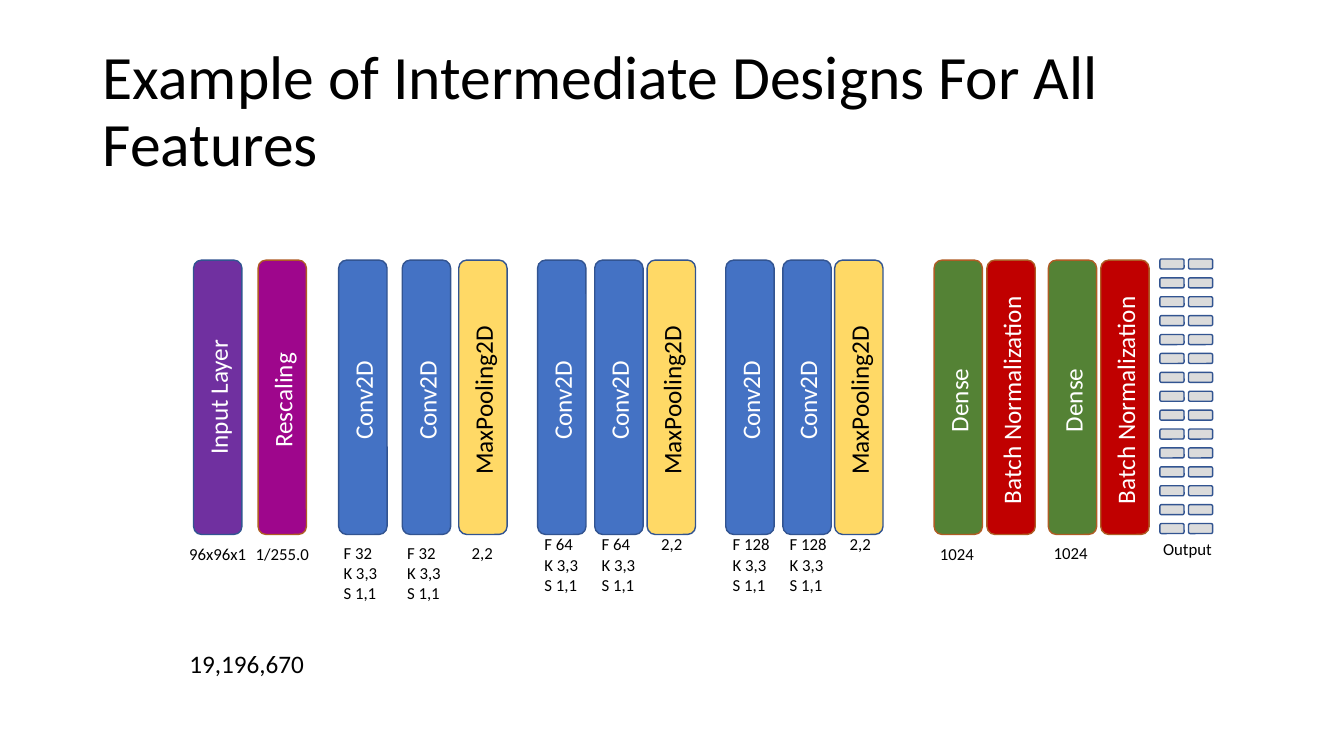
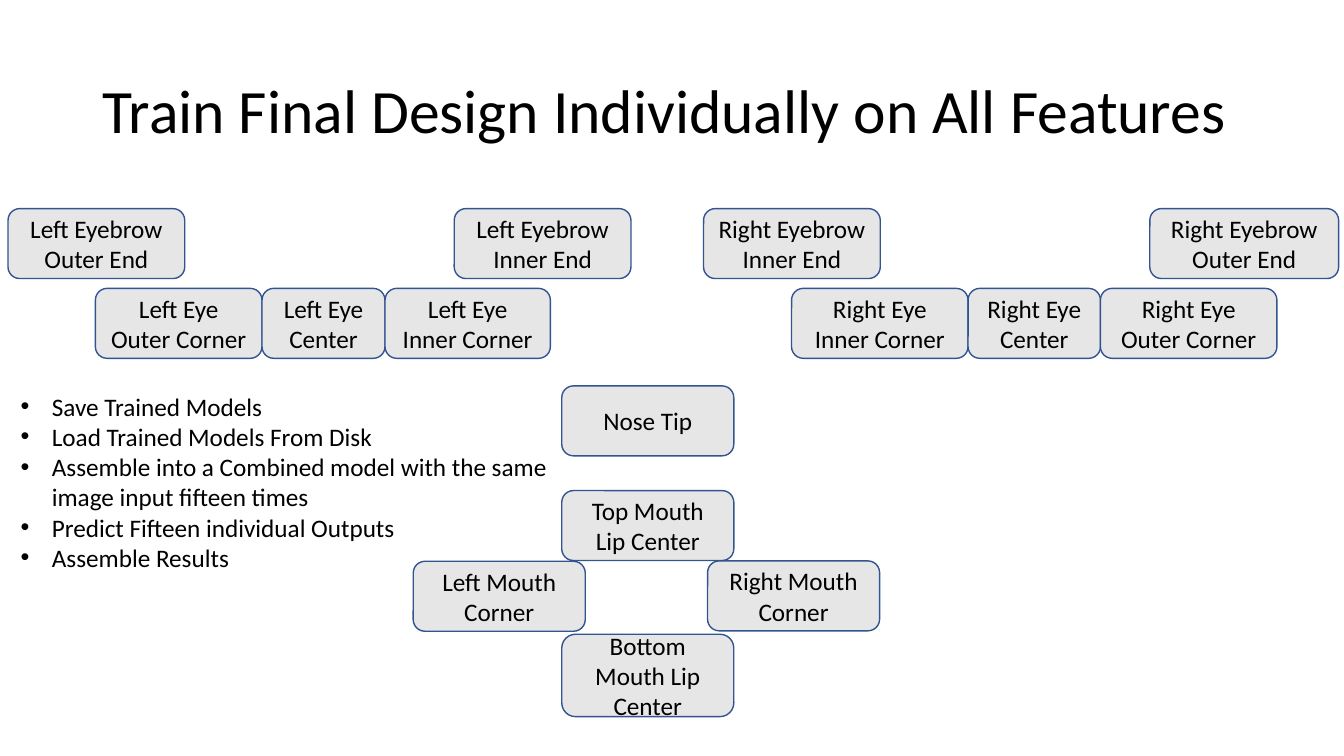
from lxml import etree
from pptx import Presentation
from pptx.dml.color import RGBColor
from pptx.enum.shapes import MSO_SHAPE
from pptx.enum.text import MSO_ANCHOR, PP_ALIGN
from pptx.oxml.ns import qn
from pptx.util import Inches, Pt

ROUNDED = MSO_SHAPE.ROUNDED_RECTANGLE
MIDDLE, TOP = MSO_ANCHOR.MIDDLE, MSO_ANCHOR.TOP
LEFT, CENTER = PP_ALIGN.LEFT, PP_ALIGN.CENTER

FONT = "Calibri"
BLACK, WHITE = "000000", "FFFFFF"
BLUE_LINE, ORANGE_LINE = "325491", "AF5C24"
OUTPUT_GREY, FEATURE_GREY = "DBDBDB", "E7E6E6"
rgb = RGBColor.from_string

presentation = Presentation()
presentation.slide_width = Inches(13.33)
presentation.slide_height = Inches(7.5)

# The grid has 100 columns and 100 rows
COLUMN = presentation.slide_width / 100
ROW = presentation.slide_height / 100


def write(shape, lines, size, color=BLACK, alignment=LEFT, anchor=TOP):
    frame = shape.text_frame
    frame.word_wrap = True
    frame.vertical_anchor = anchor
    frame.text = "\n".join(lines)
    for paragraph in frame.paragraphs:
        paragraph.alignment = alignment
        paragraph.font.name = FONT
        paragraph.font.size = Pt(size)
        paragraph.font.color.rgb = rgb(color)
    return frame


def add_box(shapes, left, top, width, height, fill=None, line=BLUE_LINE):
    """Add a rounded box, or a text box when there is no fill."""
    place = [int(left * COLUMN), int(top * ROW), int(width * COLUMN), int(height * ROW)]
    if fill is None:
        return shapes.add_textbox(*place)
    shape = shapes.add_shape(ROUNDED, *place)
    shape.shadow.inherit = False
    shape.fill.solid()
    shape.fill.fore_color.rgb = rgb(fill)
    shape.line.color.rgb = rgb(line)
    shape.line.width = Pt(1)
    return shape


# Both slides with their titles
slides = []
for title, title_width in [
    ("Example of Intermediate Designs For All Features", 86.25),
    ("Train Final Design Individually on All Features", 88.8),
]:
    slide = presentation.slides.add_slide(presentation.slide_layouts[6])
    title_box = add_box(slide.shapes, 6.9, 5.3, title_width, 19.33)
    write(title_box, [title], 44, anchor=MIDDLE).paragraphs[0].line_spacing = 0.9
    slides.append(slide)
network_slide, feature_slide = slides

# Network layers: label, fill, line, text colour, extra inset at the top
LAYERS = {
    "input": ("Input Layer", "7030A0", BLUE_LINE, WHITE, 0),
    "rescale": ("Rescaling", "9E068C", ORANGE_LINE, WHITE, 0.11),
    "conv": ("Conv2D", "4472C4", BLUE_LINE, WHITE, 0.11),
    "pool": ("MaxPooling2D", "FFD966", BLUE_LINE, BLACK, 0.11),
    "dense": ("Dense", "548235", ORANGE_LINE, WHITE, 0.11),
    "norm": ("Batch Normalization", "C00000", ORANGE_LINE, WHITE, 0.11),
}
BAR_TOP, BAR_WIDTH, BAR_HEIGHT = 34.4, 3.6, 36.3

# Layer, left edge, caption lines, caption shift, caption top
bars = [
    ("input", 14.4, ["96x96x1"], -1.5, 71.3),
    ("rescale", 19.2, ["1/255.0"], -1.5, 71.3),
    ("dense", 69.5, ["1024"], -0.3, 71.3),
    ("norm", 73.43, [], 0, 0),
    ("dense", 78, ["1024"], -0.35, 71.2),
    ("norm", 81.9, [], 0, 0),
]
# Convolution blocks: filters, left edges, caption shifts, caption tops
for filters, lefts, shifts, conv_top, pool_top in [
    (32, (25.2, 29.93, 34.13), (-0.38, 0.22), 71.1, 71.2),
    (64, (40, 44.25, 48.15), (-0.23, 0.3), 70, 70),
    (128, (54, 58.25, 62.1), (-0.23, 0.38), 70, 70),
]:
    for left in lefts[:2]:
        bars.append(("conv", left, [f"F {filters}", "K 3,3", "S 1,1"], shifts[0], conv_top))
    bars.append(("pool", lefts[2], ["2,2"], shifts[1], pool_top))

for layer, left, caption, shift, caption_top in bars:
    label, fill, line, color, inset = LAYERS[layer]
    bar = add_box(network_slide.shapes, left, BAR_TOP, BAR_WIDTH, BAR_HEIGHT, fill, line)
    frame = write(bar, [label], 18, color, CENTER, MIDDLE)
    frame.margin_top = Inches(0.05 + inset)
    bar.text_frame._txBody.bodyPr.set("vert", "vert270")
    if caption:
        centred = layer in ("input", "rescale")
        caption_box = add_box(network_slide.shapes, left + shift, caption_top,
                              6.6 if centred else 5, 4 * len(caption))
        write(caption_box, caption, 12, alignment=CENTER if centred else LEFT)

# Output: two columns of fifteen units
output_group = network_slide.shapes.add_group_shape()
for column in range(2):
    for row in range(15):
        add_box(output_group.shapes, 86.3 + 2.13 * column, 34.25 + 2.5 * row,
                1.8, 1.33, OUTPUT_GREY)
write(add_box(output_group.shapes, 85.8, 70.6, 6, 4), ["Output"], 12)

# Parameter count
write(add_box(network_slide.shapes, 13.35, 85.1, 12.4, 5.3), ["19,196,670"], 18)

# Facial features: label, left, top, width, height
FEATURE_HEIGHT = 9.25
BROW_TOP, EYE_TOP, NOSE_TOP = 27.6, 38.15, 51.05
features = [
    ("Left Eyebrow Outer End", 0.6, BROW_TOP, 13.15, FEATURE_HEIGHT),
    ("Left Eyebrow Inner End", 33.8, BROW_TOP, 13.15, FEATURE_HEIGHT),
    ("Right Eyebrow Inner End", 52.35, BROW_TOP, 13.15, FEATURE_HEIGHT),
    ("Right Eyebrow Outer End", 85.55, BROW_TOP, 14.05, FEATURE_HEIGHT),
    ("Nose Tip", 41.8, NOSE_TOP, 12.8, FEATURE_HEIGHT),
    ("Right Mouth Corner", 52.65, 74.2, 12.8, FEATURE_HEIGHT),
    ("Left Mouth Corner", 30.75, 74.25, 12.8, FEATURE_HEIGHT),
    ("Top Mouth Lip Center", 41.8, 64.9, 12.8, FEATURE_HEIGHT),
    ("Bottom Mouth Lip Center", 41.8, 83.9, 12.8, 10.9),
]
# The three parts of each eye stand side by side
for side, left, parts in [
    ("Left", 7.1, [("Outer Corner", 12.4), ("Center", 9.15), ("Inner Corner", 12.3)]),
    ("Right", 58.9, [("Inner Corner", 13.13), ("Center", 9.85), ("Outer Corner", 13.13)]),
]:
    for part, width in parts:
        features.append((f"{side} Eye {part}", left, EYE_TOP, width, FEATURE_HEIGHT))
        left += width

for label, *place in features:
    feature_box = add_box(feature_slide.shapes, *place, FEATURE_GREY)
    write(feature_box, [label], 18, alignment=CENTER, anchor=MIDDLE)

# Bulleted steps
steps = [
    "Save Trained Models",
    "Load Trained Models From Disk",
    "Assemble into a Combined model with the same image input fifteen times",
    "Predict Fifteen individual Outputs",
    "Assemble Results",
]
steps_frame = write(add_box(feature_slide.shapes, 0.8, NOSE_TOP, 43.8, 25.6), steps, 18)
for paragraph in steps_frame.paragraphs:
    properties = paragraph._p.get_or_add_pPr()
    properties.set("marL", str(Inches(0.31)))
    properties.set("indent", str(-Inches(0.31)))
    bullet_font = etree.Element(qn("a:buFont"), typeface="Arial")
    bullet = etree.Element(qn("a:buChar"), char="•")
    properties.insert(0, bullet_font)
    properties.insert(1, bullet)

presentation.save("out.pptx")
